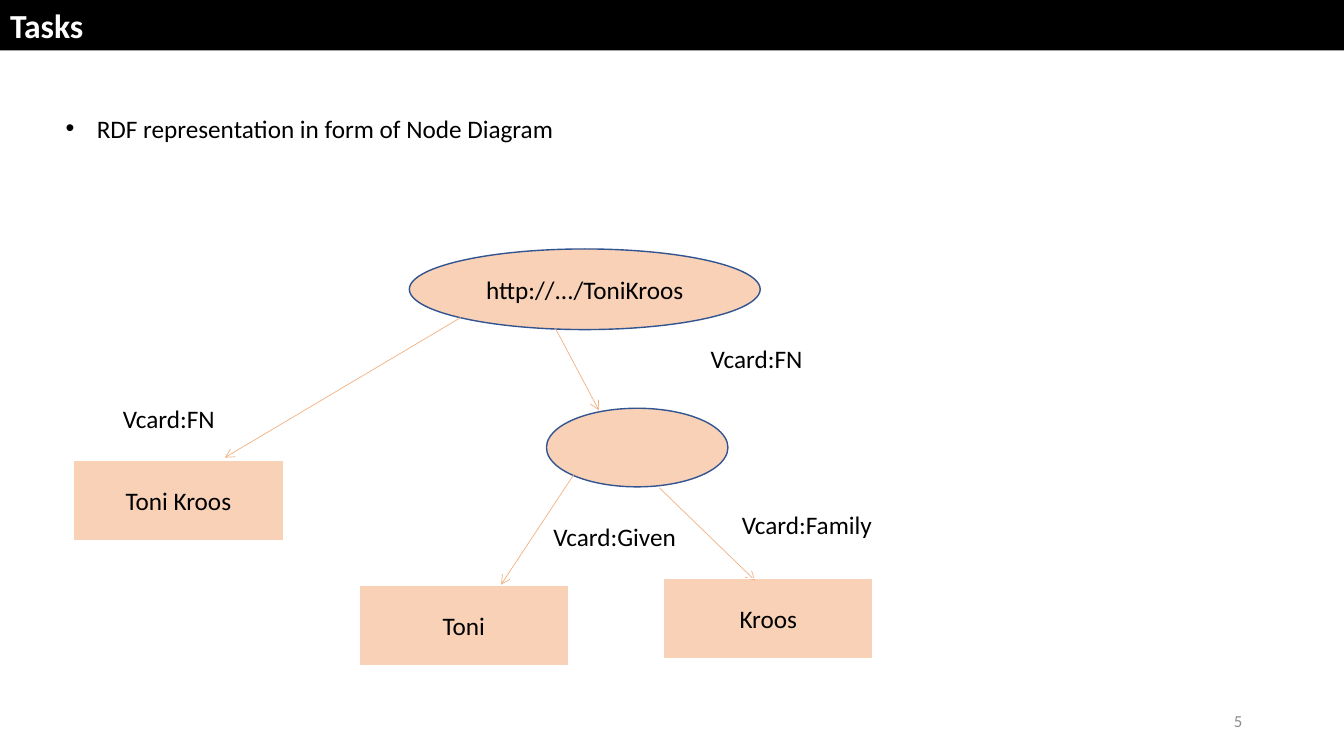
import pptx
import pptx.dml.color
import pptx.enum.shapes
import pptx.enum.text
import pptx.oxml
import pptx.oxml.ns
import pptx.util
from lxml import etree

Inches = pptx.util.Inches
Pt = pptx.util.Pt
RGBColor = pptx.dml.color.RGBColor
Shape = pptx.enum.shapes.MSO_SHAPE
Align = pptx.enum.text.PP_ALIGN
Anchor = pptx.enum.text.MSO_ANCHOR
qn = pptx.oxml.ns.qn

BLACK = RGBColor(0x00, 0x00, 0x00)
WHITE = RGBColor(0xFF, 0xFF, 0xFF)
PEACH = RGBColor(0xF4, 0xB1, 0x83)
NAVY = RGBColor(0x32, 0x54, 0x91)
GREY = RGBColor(0x8C, 0x8C, 0x8C)

NODE_OPACITY = 59
LEAF_SIZE = (2.08, 0.79)
RESOURCES = [
    ("http://.../ToniKroos", (3.33, 0, 3.48, 0.8)),
    ("", (4.69, 1.58, 1.8, 0.78)),
]
ARROWS = [
    ((3.84, 0.68), (1.5, 2.07)),
    ((4.78, 0.79), (5.21, 1.6)),
    ((4.96, 2.24), (4.24, 3.33)),
    ((5.81, 2.37), (6.76, 3.29)),
]
LEAVES = [("Toni Kroos", (0, 2.1)), ("Kroos", (5.85, 3.27)), ("Toni", (2.83, 3.34))]
PREDICATES = [
    ("Vcard:FN", (0.39, 1.48, 1.32, 0.4)),
    ("Vcard:FN", (6.22, 0.89, 1.32, 0.4)),
    ("Vcard:Given", (4.66, 2.65, 1.59, 0.4)),
    ("Vcard:Family", (6.53, 2.53, 2, 0.4)),
]


def apply(target, formats):
    """Set each attribute named in formats on the target."""
    for name, value in formats.items():
        setattr(target, name, value)


def place(shape, box):
    """Move and size a shape to a box given in inches."""
    apply(shape, dict(zip(("left", "top", "width", "height"), map(Inches, box))))


def write(shape, text, size=18, color=BLACK, bold=False, align=Align.LEFT, anchor=Anchor.TOP):
    """Fill a shape with one formatted paragraph and return it."""
    frame = shape.text_frame
    apply(frame, {"word_wrap": True, "vertical_anchor": anchor,
                  "auto_size": pptx.enum.text.MSO_AUTO_SIZE.NONE})
    para = frame.paragraphs[0]
    apply(para, {"alignment": align, "space_before": Pt(0)})
    span = para.add_run()
    span.text = text
    apply(span.font, {"name": "Calibri", "size": Pt(size), "bold": bold})
    span.font.color.rgb = color
    return para


def add_label(page, text, box, **formats):
    """Add a text box with one line of text."""
    label = page.shapes.add_textbox(*map(Inches, box))
    write(label, text, **formats)


def add_title_bar(page, box, text):
    """Turn the title placeholder into a filled bar."""
    title = page.shapes.title
    place(title, box)
    title.fill.solid()
    title.fill.fore_color.rgb = BLACK
    write(title, text, size=24, color=WHITE, bold=True)


def add_bullet(page, box, text):
    """Write one bulleted line in the body placeholder."""
    body = page.placeholders[1]
    place(body, box)
    settings = write(body, text)._p.get_or_add_pPr()
    settings.set("marL", str(Inches(0.31)))
    settings.set("indent", str(-Inches(0.31)))
    etree.SubElement(settings, qn("a:buFont")).set("typeface", "Arial")
    etree.SubElement(settings, qn("a:buChar")).set("char", "•")


def add_node(page, kind, text, box, outline):
    """Add a translucent node with centred text."""
    node = page.shapes.add_shape(kind, *map(Inches, box))
    node.shadow.inherit = False
    node.fill.solid()
    node.fill.fore_color.rgb = PEACH
    color = node._element.spPr.find(qn("a:solidFill")).find(qn("a:srgbClr"))
    etree.SubElement(color, qn("a:alpha")).set("val", str(NODE_OPACITY * 1000))
    node.line.color.rgb = outline
    node.line.width = Pt(1)
    if text:
        write(node, text, align=Align.CENTER, anchor=Anchor.MIDDLE)


def add_arrow(page, start, end):
    """Add a thin arrow between two points."""
    arrow = page.shapes.add_connector(
        pptx.enum.shapes.MSO_CONNECTOR.STRAIGHT, *map(Inches, start + end))
    arrow.line.color.rgb = PEACH
    arrow.line.width = Pt(0.5)
    etree.SubElement(arrow.line._get_or_add_ln(), qn("a:tailEnd")).set("type", "arrow")
    etree.SubElement(arrow._element.spPr, qn("a:effectLst"))


def add_node_diagram(page, left, top):
    """Draw the RDF graph with its upper left corner at the given point."""
    def shift(box):
        """Move a point or box from the diagram onto the page."""
        return (left + box[0], top + box[1]) + box[2:]

    for text, box in RESOURCES:
        add_node(page, Shape.OVAL, text, shift(box), NAVY)
    for start, end in ARROWS:
        add_arrow(page, shift(start), shift(end))
    for text, corner in LEAVES:
        add_node(page, Shape.RECTANGLE, text, shift(corner + LEAF_SIZE), WHITE)
    for text, box in PREDICATES:
        add_label(page, text, shift(box))


def main():
    """Build the deck and save it."""
    deck = pptx.Presentation()
    apply(deck, {"slide_width": Inches(13.33), "slide_height": Inches(7.5)})
    page = deck.slides.add_slide(deck.slide_layouts[1])
    add_title_bar(page, (0, 0, 13.33, 0.5), "Tasks")
    add_bullet(page, (0.55, 1.07, 10.72, 0.71), "RDF representation in form of Node Diagram")
    add_node_diagram(page, 0.73, 2.47)
    add_label(page, "5", (9.42, 6.95, 3, 0.4), size=12, color=GREY,
              align=Align.RIGHT, anchor=Anchor.MIDDLE)
    deck.save("out.pptx")


if __name__ == "__main__":
    main()
